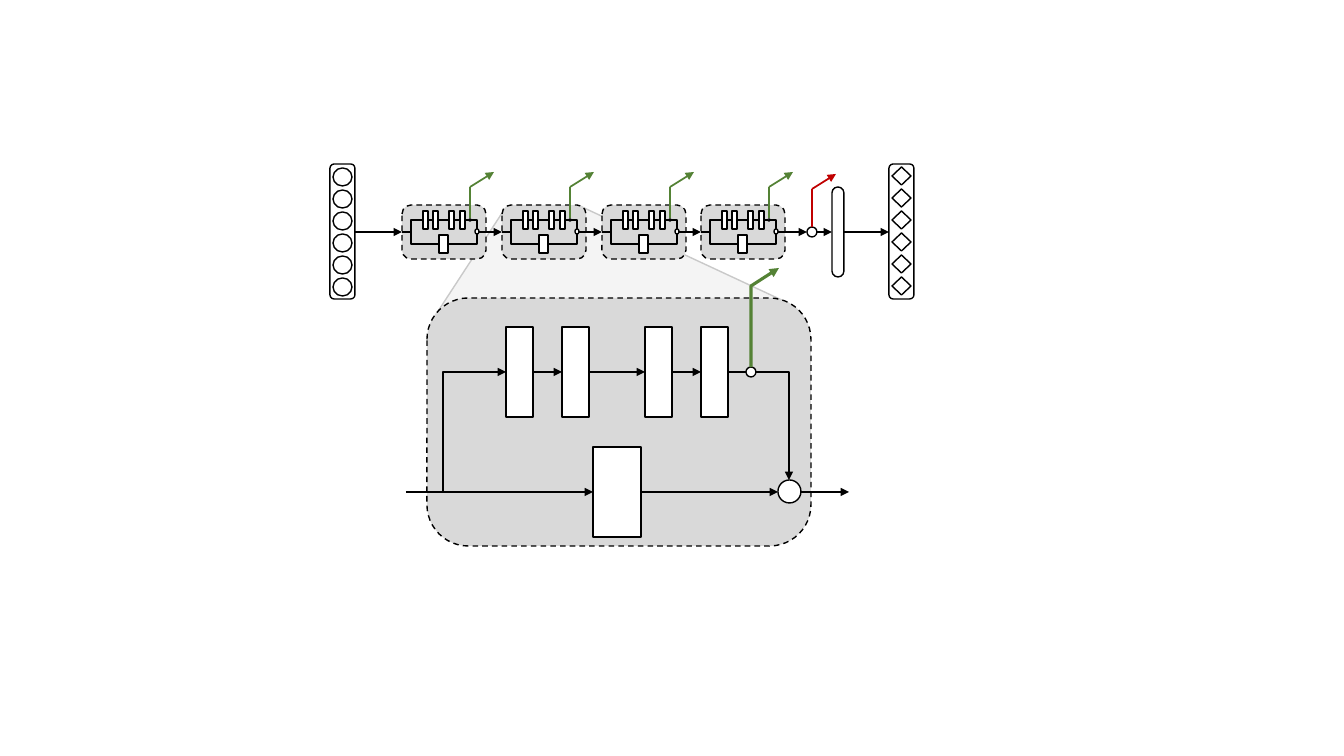
from lxml import etree
from pptx import Presentation
from pptx.dml.color import RGBColor
from pptx.enum.dml import MSO_LINE
from pptx.enum.shapes import MSO_CONNECTOR, MSO_SHAPE
from pptx.oxml.ns import qn
from pptx.util import Pt

PX = 12192000 / 1344  # EMU per pixel
RECT, ROUNDED = MSO_SHAPE.RECTANGLE, MSO_SHAPE.ROUNDED_RECTANGLE
CIRCLE, DIAMOND = MSO_SHAPE.OVAL, MSO_SHAPE.DIAMOND
STRAIGHT, DASH = MSO_CONNECTOR.STRAIGHT, MSO_LINE.DASH
COLORS = {"ink": "000000", "white": "FFFFFF", "block": "D9D9D9", "zoom": "AFABAB",
          "zoom_edge": "C9C9C9", "tap": "548235", "final_tap": "C00000"}


def emu(*pixels):
    return [round(p * PX) for p in pixels]


def rgb(name):
    return RGBColor.from_string(COLORS[name])


def stroke(item, color="ink", width=1, arrow=False):
    item.line.color.rgb = rgb(color)
    item.line.width = Pt(width)
    if arrow:
        etree.SubElement(item.line._get_or_add_ln(), qn("a:tailEnd"), type="triangle")


def paint(item, fill):
    item.shadow.inherit = False
    if fill:
        item.fill.solid()
        item.fill.fore_color.rgb = rgb(fill)
    else:
        item.fill.background()


def node(parts, kind, x, y, w, h, fill="white", dash=False):
    item = parts.add_shape(kind, *emu(x, y, w, h))
    paint(item, fill)
    stroke(item)
    if dash:
        item.line.dash_style = DASH
    return item


def link(parts, x1, y1, x2, y2, **style):
    item = parts.add_connector(STRAIGHT, *emu(x1, y1, x2, y2))
    stroke(item, **style)
    etree.SubElement(item._element.spPr, qn("a:effectLst"))


def route(parts, points, fill=None, **style):
    builder = parts.build_freeform(*points[0], scale=PX)
    builder.add_line_segments(points[1:], close=False)
    item = builder.convert_to_shape()
    paint(item, fill)
    stroke(item, **style)
    return item


def group(parts):
    return parts.add_group_shape().shapes


def zoom_cone(parts, points):
    cone = route(parts, points, fill="zoom", color="zoom_edge")
    tint = cone._element.spPr.find(qn("a:solidFill"))[0]
    etree.SubElement(tint, qn("a:alpha"), val="13000")


def unit_column(parts, x, y, kind, first, fill):
    """Frame with six units, the first one `first` pixels below its top."""
    column = group(parts)
    node(column, ROUNDED, x, y, 25, 135, fill)
    for i in range(6):
        node(column, kind, x + 3, y + first + 22 * i, 19, 18)


def tap_arrow(parts, x, bottom, top, color):
    tap = group(parts)
    link(tap, x, bottom, x, top, color=color, width=1.25)
    link(tap, x, top, x + 24, top - 15, color=color, width=1.25, arrow=True)


def small_block(parts, x, y):
    node(parts, ROUNDED, x, y, 84, 54, "block", dash=True)
    block = group(parts)
    rail, axis, bypass = y + 15, y + 27, y + 39
    # Four layers joined along the upper rail
    layers = [x + dx for dx in (21, 31, 47, 58)]
    for left in layers:
        node(block, RECT, left, y + 6, 5, 18)
    for left, right in zip(layers, layers[1:] + [x + 67]):
        link(block, left + 5, rail, right, rail)
    # Fork, bypass and merge
    node(block, RECT, x + 37, y + 30, 9, 18)
    link(block, x, axis, x + 9, axis)
    route(block, [(x + 9, axis), (x + 9, rail), (x + 21, rail)])
    route(block, [(x + 9, axis), (x + 9, bypass), (x + 37, bypass)])
    route(block, [(x + 69, rail), (x + 75, rail), (x + 75, y + 24)])
    route(block, [(x + 46, bypass), (x + 75, bypass), (x + 75, y + 29)])
    node(block, CIRCLE, x + 73, y + 24, 4, 5)
    link(block, x + 77, axis, x + 84, axis)
    node(block, CIRCLE, x + 67, y + 14, 2, 2)
    tap_arrow(parts, x + 68, y + 13, y - 18, "tap")


def detail_block(parts, x, y):
    block = group(parts)
    rail, axis = y + 74, y + 194
    node(block, ROUNDED, x, y, 384, 248, "block", dash=True)
    # Main path
    layers = [x + dx for dx in (79, 135, 218, 274)]
    for left in layers:
        node(block, RECT, left, y + 29, 27, 90)
    for left, right in zip(layers, layers[1:]):
        link(block, left + 27, rail, right, rail, arrow=True)
    link(block, x + 301, rail, x + 319, rail)
    node(block, CIRCLE, x + 319, y + 69, 10, 10)
    # Bypass and sum
    node(block, RECT, x + 166, y + 149, 48, 90)
    node(block, CIRCLE, x + 351, y + 182, 23, 23)
    for start, end in ((-21, 166), (214, 351), (374, 422)):
        link(block, x + start, axis, x + end, axis, arrow=True)
    # Fork, merge and tap
    route(block, [(x + 16, axis), (x + 16, rail), (x + 79, rail)], arrow=True)
    route(block, [(x + 329, rail), (x + 362, rail), (x + 362, y + 182)], arrow=True)
    route(block, [(x + 324, y + 69), (x + 324, y - 12), (x + 352, y - 30)],
          color="tap", width=2.25, arrow=True)


def network(parts, x, y):
    """Row from input column to output column."""
    axis = y + 68
    blocks = [x + dx for dx in (72, 172, 272, 371)]
    unit_column(parts, x, y, CIRCLE, 4, None)
    unit_column(parts, x + 559, y, DIAMOND, 3, "white")
    for left in blocks:
        small_block(parts, left, y + 41)
    # Final tap and pooling bar
    node(parts, CIRCLE, x + 477, y + 63, 10, 10, None)
    tap_arrow(parts, x + 482, y + 63, y + 25, "final_tap")
    pooling = node(parts, ROUNDED, x + 502, y + 23, 12, 90)
    pooling.adjustments[0] = 0.5
    # Arrows between the stages
    exits = [x + 25] + [left + 84 for left in blocks] + [x + 487, x + 514]
    entries = blocks + [x + 477, x + 502, x + 559]
    for start, end in zip(exits, entries):
        link(parts, start, axis, end, axis, arrow=True)


deck = Presentation()
deck.slide_width, deck.slide_height = emu(1344, 756)
slide = deck.slides.add_slide(deck.slide_layouts[6])
zoom_cone(slide.shapes, [(504, 210), (433, 319), (788, 303), (580, 206)])
network(slide.shapes, 330, 164)
detail_block(slide.shapes, 427, 298)
deck.save("out.pptx")
